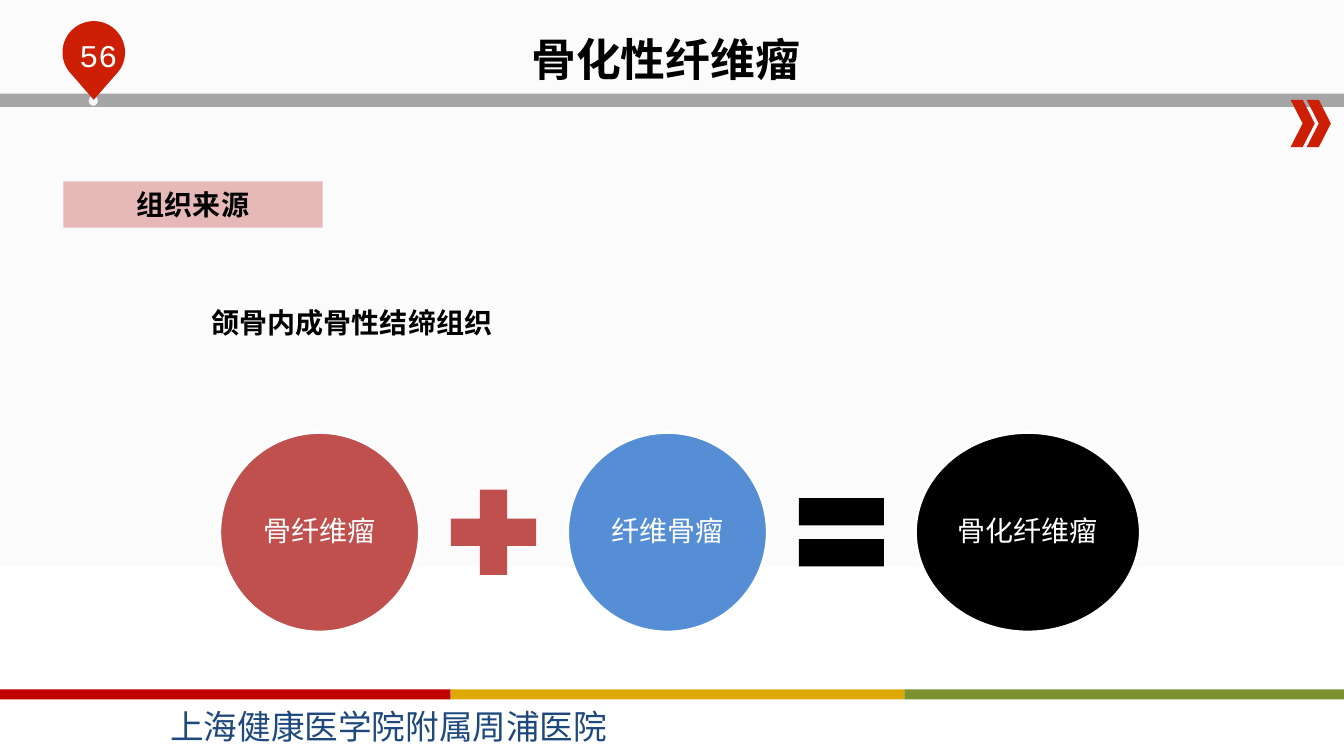
from dataclasses import dataclass
from math import cos, radians, sin

from pptx import Presentation
from pptx.dml.color import RGBColor
from pptx.enum.shapes import MSO_SHAPE
from pptx.enum.text import MSO_ANCHOR, PP_ALIGN
from pptx.util import Inches, Pt


@dataclass(frozen=True)
class Theme:
    black: str = "000000"
    white: str = "FFFFFF"
    paper: str = "FBFBFB"
    dot: str = "F6F6F6"
    rule: str = "A5A5A5"
    accent: str = "CD1F06"
    label: str = "E6B9B8"
    red: str = "C0504D"
    blue: str = "558ED5"
    navy: str = "1F497D"
    bars: tuple = ("C00000", "DEA900", "7C912F")
    font: str = "Times New Roman"
    number_font: str = "Courier New"
    footer_font: str = "Noto Sans CJK SC"
    title_size: float = 32
    footer_size: float = 24
    number_size: float = 22.6
    body_size: float = 20


THEME = Theme()


def paint(shape, fill, outline=None):
    shape.shadow.inherit = False
    shape.fill.solid()
    shape.fill.fore_color.rgb = RGBColor.from_string(fill)
    if outline:
        shape.line.color.rgb = RGBColor.from_string(outline)
        shape.line.width = Pt(2)
    else:
        shape.line.fill.background()


def add_block(slide, kind, left, top, width, height, fill, outline=None):
    shape = slide.shapes.add_shape(
        kind, Inches(left), Inches(top), Inches(width), Inches(height))
    paint(shape, fill, outline)
    return shape


def write(shape, text, color=THEME.black, size=THEME.body_size, font=THEME.font,
          bold=False, align=PP_ALIGN.LEFT, anchor=MSO_ANCHOR.TOP,
          insets=(0.1, 0.05), wrap=True, line_spacing=None):
    frame = shape.text_frame
    frame.word_wrap = wrap
    frame.vertical_anchor = anchor
    frame.margin_left = frame.margin_right = Inches(insets[0])
    frame.margin_top = frame.margin_bottom = Inches(insets[1])
    paragraph = frame.paragraphs[0]
    paragraph.text = text
    paragraph.alignment = align
    if line_spacing:
        paragraph.line_spacing = line_spacing
    paragraph.font.name = font
    paragraph.font.size = Pt(size)
    paragraph.font.bold = bold
    paragraph.font.color.rgb = RGBColor.from_string(color)


def add_text(slide, left, top, width, height, text, **style):
    box = slide.shapes.add_textbox(
        Inches(left), Inches(top), Inches(width), Inches(height))
    write(box, text, **style)


def set_background(slide):
    fill = slide.background.fill
    fill.gradient()
    fill.gradient_angle = 270
    for stop, position, color in zip(
            fill.gradient_stops, (0.5, 1), (THEME.paper, THEME.white)):
        stop.position = position
        stop.color.rgb = RGBColor.from_string(color)


def add_pin(slide, center_x, center_y, radius, tip_y):
    """A round head whose two sides run down to a tip."""
    head = [(center_x + radius * cos(radians(angle)),
             center_y + radius * sin(radians(angle)))
            for angle in range(135, 406, 5)]
    points = [(Inches(x), Inches(y)) for x, y in head + [(center_x, tip_y)]]
    builder = slide.shapes.build_freeform(*points[0])
    builder.add_line_segments(points[1:], close=True)
    paint(builder.convert_to_shape(), THEME.accent)


def add_header(slide):
    add_block(slide, MSO_SHAPE.RECTANGLE, 0, 0.93, 13.33, 0.13, THEME.rule)
    for left in (12.8, 12.96):
        add_block(slide, MSO_SHAPE.CHEVRON, left, 0.99, 0.24, 0.47, THEME.accent)
    add_block(slide, MSO_SHAPE.OVAL, 0.88, 0.95, 0.09, 0.1, THEME.dot)
    add_pin(slide, 0.93, 0.52, 0.31, 0.99)
    add_text(slide, 0.54, 0.31, 0.87, 0.4, "56", color=THEME.white,
             size=THEME.number_size, font=THEME.number_font, align=PP_ALIGN.CENTER)
    add_text(slide, 5.17, 0, 2.89, 0.91, "骨化性纤维瘤", size=THEME.title_size,
             bold=True, wrap=False, line_spacing=1.5)


def add_footer(slide):
    edges = (0, 4.47, 8.97, 13.33)
    for left, right, color in zip(edges, edges[1:], THEME.bars):
        add_block(slide, MSO_SHAPE.RECTANGLE, left, 6.84, right - left, 0.1, color)
    add_text(slide, 1.59, 6.95, 4.53, 0.5, "上海健康医学院附属周浦医院",
             color=THEME.navy, size=THEME.footer_size, font=THEME.footer_font,
             wrap=False)


def add_equation(slide):
    """Circles and operators in a row, centred on one axis with equal gaps."""
    left, axis, gap = 2.18, 5.28, 0.16
    circle, plus, equal = MSO_SHAPE.OVAL, MSO_SHAPE.MATH_PLUS, MSO_SHAPE.MATH_EQUAL
    terms = (
        (circle, 1.98, 1.98, THEME.red, "骨纤维瘤"),
        (plus, 1.15, 1.15, THEME.red, None),
        (circle, 1.98, 1.98, THEME.blue, "纤维骨瘤"),
        (equal, 1.15, 1.15, THEME.black, None),
        (circle, 2.23, 1.98, THEME.black, "骨化纤维瘤"),
    )
    for kind, width, height, color, text in terms:
        shape = add_block(slide, kind, left, axis - height / 2, width, height,
                          color, THEME.white if text else None)
        if text:
            write(shape, text, color=THEME.white, align=PP_ALIGN.CENTER,
                  anchor=MSO_ANCHOR.MIDDLE, insets=(0.05, 0.05), line_spacing=0.9)
        left += width + gap


def main():
    presentation = Presentation()
    presentation.slide_width = Inches(13.33)
    presentation.slide_height = Inches(7.5)
    slide = presentation.slides.add_slide(presentation.slide_layouts[6])

    # Frame of the slide
    set_background(slide)
    add_header(slide)
    add_footer(slide)

    # Tissue origin
    label = add_block(slide, MSO_SHAPE.RECTANGLE, 0.63, 1.8, 2.57, 0.46, THEME.label)
    write(label, "组织来源", bold=True, align=PP_ALIGN.CENTER, insets=(0.12, 0.06))
    add_text(slide, 1.98, 2.97, 8.23, 0.46, "颌骨内成骨性结缔组织",
             bold=True, insets=(0.12, 0.06))

    # Combination of the two tumours
    add_equation(slide)
    presentation.save("out.pptx")


if __name__ == "__main__":
    main()
